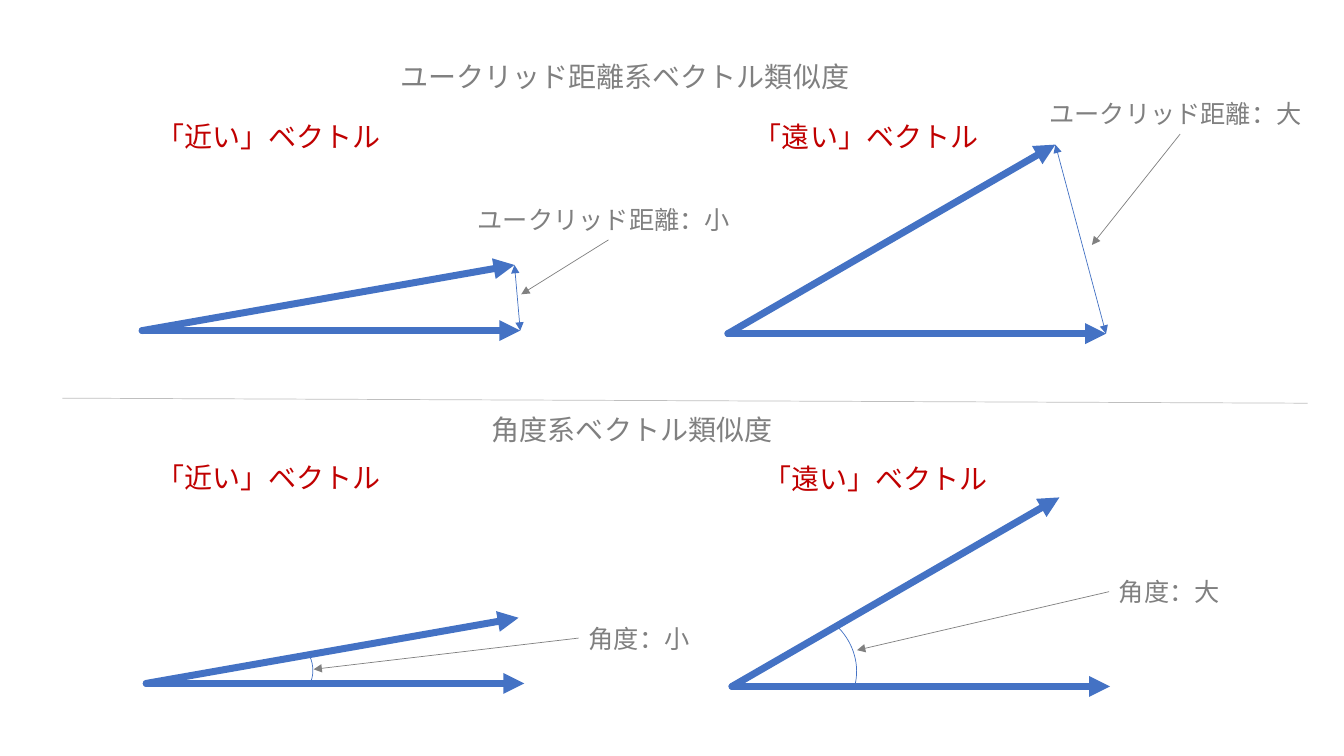
import math

import pptx
import pptx.dml.color
import pptx.enum.shapes
import pptx.enum.text
import pptx.oxml
import pptx.oxml.ns
import pptx.util

BLUE = pptx.dml.color.RGBColor(0x44, 0x72, 0xC4)
RED = pptx.dml.color.RGBColor(0xC0, 0x00, 0x00)
GRAY = pptx.dml.color.RGBColor(0x80, 0x80, 0x80)
LIGHT_GRAY = pptx.dml.color.RGBColor(0xBF, 0xBF, 0xBF)
FONT = "Noto Sans CJK JP"
CELL = pptx.util.Inches(1)  # side of one grid square
VECTOR_LENGTH = 3.75
NEAR_ANGLE, FAR_ANGLE = 10, 30

deck = pptx.Presentation()
deck.slide_width = int(13.33 * CELL)
deck.slide_height = int(7.5 * CELL)
page = deck.slides.add_slide(deck.slide_layouts[5])


def write(box, text, left, top, width, size, color):
    """Place a box on the grid and fill it with one styled line."""
    height = 0.44 if size == 20 else 0.4
    box.left, box.top, box.width, box.height = (
        int(cells * CELL) for cells in (left, top, width, height))
    frame = box.text_frame
    frame.word_wrap = True
    frame.auto_size = pptx.enum.text.MSO_AUTO_SIZE.SHAPE_TO_FIT_TEXT
    frame.vertical_anchor = pptx.enum.text.MSO_ANCHOR.TOP
    para = frame.paragraphs[0]
    para.alignment = pptx.enum.text.PP_ALIGN.LEFT
    span = para.add_run()
    span.text = text
    span.font.name = FONT
    span.font.size = pptx.util.Pt(size)
    span.font.color.rgb = color
    east_asian = span.font._element.makeelement(
        pptx.oxml.ns.qn("a:ea"), {"typeface": FONT})
    span.font._element.append(east_asian)


def draw_line(start, end, color, weight, arrows=()):
    """Join two grid points; arrows names the ends that get a triangle."""
    line = page.shapes.add_connector(
        pptx.enum.shapes.MSO_CONNECTOR.STRAIGHT,
        *(int(cells * CELL) for cells in (*start, *end)))
    line.line.color.rgb = color
    line.line.width = pptx.util.Pt(weight)
    properties = line._element.spPr
    outline = properties.find(pptx.oxml.ns.qn("a:ln"))
    if weight > 1:
        outline.set("cap", "rnd")
    for arrow in arrows:
        outline.append(outline.makeelement(
            pptx.oxml.ns.qn(f"a:{arrow}"), {"type": "triangle"}))
    properties.append(properties.makeelement(pptx.oxml.ns.qn("a:effectLst"), {}))
    return line


# Section headings and the rule between the sections
write(page.shapes.title, "ユークリッド距離系ベクトル類似度", 3.87, 0.54, 4.95, 20, GRAY)
draw_line((0.62, 3.95), (12.97, 4), LIGHT_GRAY, 0.5)

captions = [
    ("角度系ベクトル類似度", 4.78, 4.04, 3.14, 20, GRAY),
    ("「近い」ベクトル", 1.45, 1.14, 2.83, 20, RED),
    ("「遠い」ベクトル", 7.38, 1.14, 2.74, 20, RED),
    ("「近い」ベクトル", 1.45, 4.52, 2.83, 20, RED),
    ("「遠い」ベクトル", 7.47, 4.53, 2.74, 20, RED),
]
for caption in captions:
    write(page.shapes.add_textbox(0, 0, CELL, CELL), *caption)

# Angle arcs: left, top, width, height, rotation, sweep end in degrees
arcs = [
    (2.49, 6.34, 0.63, 0.59, 64.3, 324.1),
    (7.32, 6.06, 1.2, 1.11, 46.2, 333.96),
]
for *place, rotation, sweep_end in arcs:
    arc = page.shapes.add_shape(
        pptx.enum.shapes.MSO_SHAPE.ARC, *(int(cells * CELL) for cells in place))
    arc.rotation = rotation
    for index, degrees in enumerate((270, sweep_end)):
        arc.adjustments[index] = degrees * 0.6  # 60000ths of a degree, per 100000
    arc.fill.background()
    arc.line.color.rgb = BLUE
    arc.line.width = pptx.util.Pt(0.5)
    arc.shadow.inherit = False

# Vector pairs: near on the left, far on the right; distance above, angle below
for row in range(2):
    for column, angle in enumerate((NEAR_ANGLE, FAR_ANGLE)):
        origin_x = 1.41 + 5.81 * column + 0.04 * row
        origin_y = 3.28 + 0.03 * column + 3.5 * row
        tips = []
        for direction in (0, angle):
            radians = math.radians(direction)
            tip = (origin_x + VECTOR_LENGTH * math.cos(radians),
                   origin_y - VECTOR_LENGTH * math.sin(radians))
            draw_line((origin_x, origin_y), tip, BLUE, 5, ["tailEnd"])
            tips.append(tip)
        if row == 0:
            draw_line(tips[1], tips[0], BLUE, 0.5, ["headEnd", "tailEnd"])

# Labels, each with a pointer from one side (1 left, 2 bottom) to its target
BOTTOM, LEFT = 2, 1
labels = [
    ("ユークリッド距離：小", 4.64, 1.98, 2.79, BOTTOM, (5.17, 2.92)),
    ("ユークリッド距離：大", 10.31, 0.93, 2.79, BOTTOM, (10.83, 2.43)),
    ("角度：小", 5.74, 6.13, 1.4, LEFT, (3.11, 6.64)),
    ("角度：大", 11, 5.67, 1.36, LEFT, (8.5, 6.45)),
]
for text, left, top, width, side, target in labels:
    label = page.shapes.add_textbox(0, 0, CELL, CELL)
    write(label, text, left, top, width, 18, GRAY)
    pointer = draw_line((left, top), target, GRAY, 0.5, ["tailEnd"])
    pointer.begin_connect(label, side)

deck.save("out.pptx")
